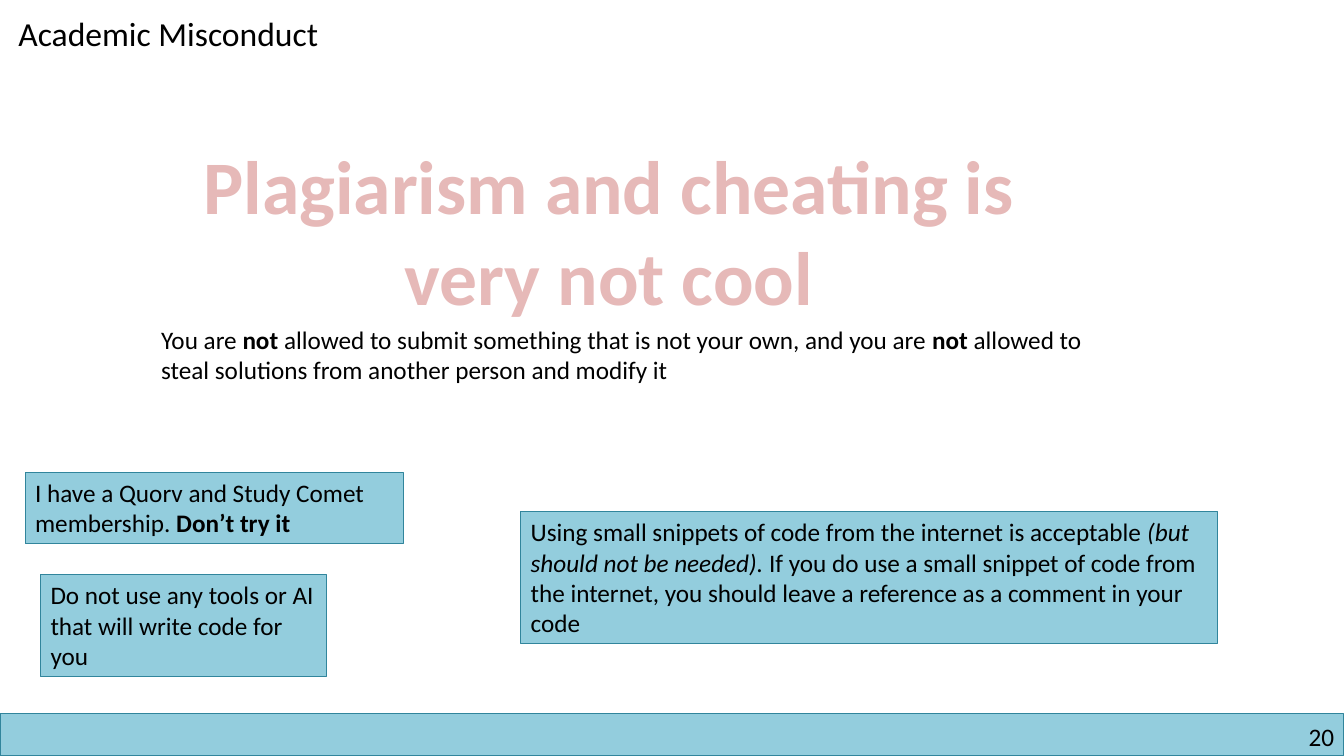
import dataclasses

import pptx
import pptx.dml.color
import pptx.enum.shapes
import pptx.enum.text
import pptx.util

Pt = pptx.util.Pt
Align = pptx.enum.text.PP_ALIGN


@dataclasses.dataclass(frozen=True)
class Theme:
    """Colours, font and type sizes of the deck."""
    font: str = "Calibri"
    ink: str = "000000"
    headline: str = "E6B9B8"
    panel: str = "93CDDD"
    edge: str = "31859C"
    body_size: float = 18
    title_size: float = 24
    headline_size: float = 54
    edge_width: float = 0.75


THEME = Theme()


def color(value):
    """Turn a hex string into a colour."""
    return pptx.dml.color.RGBColor.from_string(value)


def write(shape, runs, size=THEME.body_size, ink=THEME.ink, align=Align.LEFT):
    """Fill a shape with one paragraph of (text, style) runs."""
    frame = shape.text_frame
    frame.word_wrap = True
    frame.vertical_anchor = pptx.enum.text.MSO_ANCHOR.TOP
    para = frame.paragraphs[0]
    para.alignment = align
    for text, style in runs:
        span = para.add_run()
        span.text = text
        span.font.name = THEME.font
        span.font.size = Pt(size)
        span.font.color.rgb = color(ink)
        span.font.bold = style == "bold"
        span.font.italic = style == "italic"


def add_text(page, box, runs, **look):
    """Place a plain text box and return it."""
    shape = page.shapes.add_textbox(*map(Pt, box))
    write(shape, runs, **look)
    return shape


def add_panel(page, box):
    """Place a tinted rectangle with a thin edge."""
    panel = page.shapes.add_shape(pptx.enum.shapes.MSO_SHAPE.RECTANGLE, *map(Pt, box))
    panel.shadow.inherit = False
    panel.fill.solid()
    panel.fill.fore_color.rgb = color(THEME.panel)
    panel.line.color.rgb = color(THEME.edge)
    panel.line.width = Pt(THEME.edge_width)
    return panel


def add_footer(page, box, number):
    """Draw the footer band with the page number at its right end."""
    left, top, width, height = box
    add_panel(page, box)
    number_width, margin, drop = 220, 7, 5
    number_box = (left + width - number_width - margin, top + drop, number_width, 22)
    frame = add_text(page, number_box, [(number, "plain")], align=Align.RIGHT).text_frame
    frame.margin_left = frame.margin_right = frame.margin_top = frame.margin_bottom = 0


def add_message(page, box):
    """Place the headline and the statement below it."""
    left, top, width, height = box
    add_text(page, (left + 18, top, 618, 139),
             [("Plagiarism and cheating is very not cool", "bold")],
             size=THEME.headline_size, ink=THEME.headline, align=Align.CENTER)
    statement_height = 51
    add_text(page, (left, top + height - statement_height, width, statement_height), [
        ("You are ", "plain"),
        ("not ", "bold"),
        ("allowed to submit something that is not your own, and you are ", "plain"),
        ("not", "bold"),
        (" allowed to steal solutions from another person and modify it", "plain"),
    ])


def add_notes(page, box):
    """Place the three tinted notes inside the given region."""
    left, top, width, height = box
    notes = [
        ((0, 0, 270, 51), [
            ("I have a Quorv and Study Comet membership. ", "plain"),
            ("Don’t try it", "bold"),
        ]),
        ((11, 73, 204, 73), [
            ("Do not use any tools or AI that will write code for you", "plain"),
        ]),
        ((width - 498, 28, 498, 94), [
            ("Using small snippets of code from the internet is acceptable ", "plain"),
            ("(but should not be needed). ", "italic"),
            ("If you do use a small snippet of code from the internet, "
             "you should leave a reference as a comment in your code", "plain"),
        ]),
    ]
    for (x, y, note_width, note_height), runs in notes:
        write(add_panel(page, (left + x, top + y, note_width, note_height)), runs)


def main():
    """Build the deck and save it."""
    deck = pptx.Presentation()
    deck.slide_width, deck.slide_height = Pt(960), Pt(540)
    page = deck.slides.add_slide(deck.slide_layouts[6])
    add_footer(page, (0, 510, 960, 30), "20")
    add_text(page, (6, 6, 250, 36), [("Academic Misconduct", "plain")], size=THEME.title_size)
    add_message(page, (108, 96, 696, 183))
    add_notes(page, (18, 337.5, 852, 146))
    deck.save("out.pptx")


if __name__ == "__main__":
    main()
